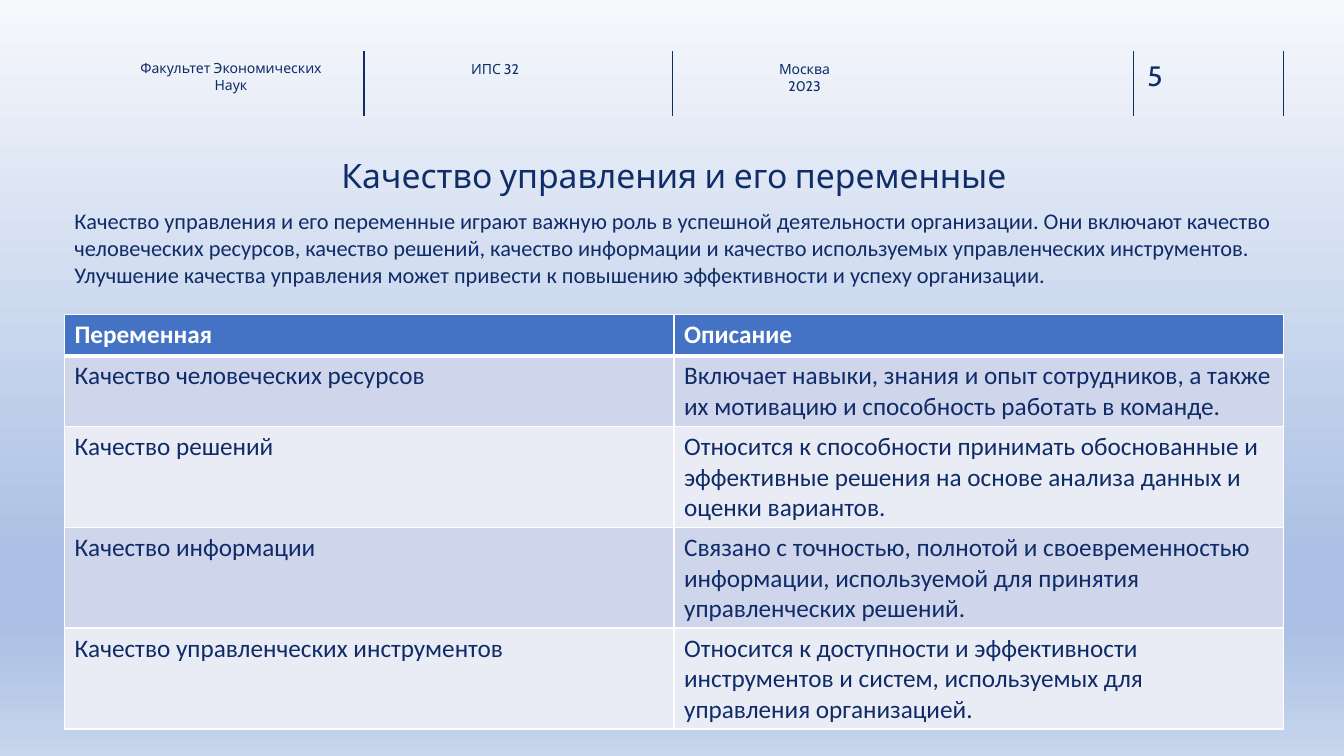
from lxml import etree
from pptx import Presentation
from pptx.dml.color import RGBColor
from pptx.enum.shapes import MSO_CONNECTOR
from pptx.enum.text import MSO_AUTO_SIZE, PP_ALIGN
from pptx.oxml.ns import qn
from pptx.util import Inches, Pt

LINE = MSO_CONNECTOR.STRAIGHT
LEFT = PP_ALIGN.LEFT
CENTER = PP_ALIGN.CENTER
GROW = MSO_AUTO_SIZE.SHAPE_TO_FIT_TEXT
FIXED = MSO_AUTO_SIZE.NONE

COLORS = {
    "rule": "102D69",
    "text": "0F2C68",
    "title": "0E2D69",
    "white": "FFFFFF",
    "head": "4472C4",
    "odd": "CFD5EA",
    "even": "E9EBF5",
}
STOPS = [(0, "F6F8FC"), (74, "ABC0E4"), (83, "ABC0E4"), (100, "C7D5ED")]
RULES = [3.61, 6.67, 11.24, 12.73]
EDGE, WIDTH = 0.64, 12.09

TITLE = "Качество управления и его переменные"
INTRO = (
    "Качество управления и его переменные играют важную роль в успешной "
    "деятельности организации. Они включают качество человеческих ресурсов, "
    "качество решений, качество информации и качество используемых "
    "управленческих инструментов. Улучшение качества управления может "
    "привести к повышению эффективности и успеху организации."
)
ROWS = [
    ("Переменная", "Описание"),
    ("Качество человеческих ресурсов",
     "Включает навыки, знания и опыт сотрудников, а также их мотивацию "
     "и способность работать в команде."),
    ("Качество решений",
     "Относится к способности принимать обоснованные и эффективные решения "
     "на основе анализа данных и оценки вариантов."),
    ("Качество информации",
     "Связано с точностью, полнотой и своевременностью информации, "
     "используемой для принятия управленческих решений."),
    ("Качество управленческих инструментов",
     "Относится к доступности и эффективности инструментов и систем, "
     "используемых для управления организацией."),
]


def rgb(name):
    return RGBColor.from_string(COLORS[name])


def style(frame, size, font, color, align=LEFT, bold=False):
    for para in frame.paragraphs:
        para.alignment = align
        for run in para.runs:
            run.font.size = Pt(size)
            run.font.name = font
            run.font.bold = bold
            run.font.color.rgb = rgb(color)


def add_sky(slide):
    fill = slide.background.fill
    fill.gradient()
    fill.gradient_angle = 270
    stops = slide.element.find(".//" + qn("a:gsLst"))
    for stop in list(stops):
        stops.remove(stop)
    for place, color in STOPS:
        stop = etree.SubElement(stops, qn("a:gs"), pos=str(place * 1000))
        etree.SubElement(stop, qn("a:srgbClr"), val=color)


def add_rule(slide, x):
    rule = slide.shapes.add_connector(
        LINE, Inches(x), Inches(0.51), Inches(x), Inches(1.15))
    rule.line.color.rgb = rgb("rule")
    rule.line.width = Pt(1)
    etree.SubElement(rule.element.spPr, qn("a:effectLst"))


def add_text(slide, text, box, size, color, font="Cabin", align=CENTER,
             inset=(0, 0), fit=FIXED):
    shape = slide.shapes.add_textbox(*[Inches(n) for n in box])
    frame = shape.text_frame
    frame.word_wrap = True
    frame.auto_size = fit
    frame.margin_left = frame.margin_right = Inches(inset[0])
    frame.margin_top = frame.margin_bottom = Inches(inset[1])
    frame.text = text
    style(frame, size, font, color, align)
    return frame


def add_edges(cell, top, bottom):
    props = cell._tc.get_or_add_tcPr()
    sides = [("a:lnL", 1), ("a:lnR", 1), ("a:lnT", top), ("a:lnB", bottom)]
    for i, (tag, width) in enumerate(sides):
        edge = etree.Element(qn(tag), w=str(Pt(width)))
        fill = etree.SubElement(edge, qn("a:solidFill"))
        etree.SubElement(fill, qn("a:srgbClr"), val=COLORS["white"])
        props.insert(i, edge)


def add_grid(slide):
    high = 0.41
    table = slide.shapes.add_table(
        len(ROWS), 2, Inches(EDGE), Inches(3.12),
        Inches(WIDTH), Inches(high * len(ROWS))).table
    for r, row in enumerate(ROWS):
        table.rows[r].height = Inches(high)
        head = r == 0
        fill = "head" if head else "odd" if r % 2 else "even"
        for c, text in enumerate(row):
            cell = table.cell(r, c)
            cell.text = text
            style(cell.text_frame, 18, "Calibri",
                  "white" if head else "text", bold=head)
            cell.fill.solid()
            cell.fill.fore_color.rgb = rgb(fill)
            add_edges(cell, 3 if r == 1 else 1, 3 if head else 1)


def main():
    deck = Presentation()
    deck.slide_width = Inches(13.33)
    deck.slide_height = Inches(7.5)
    slide = deck.slides.add_slide(deck.slide_layouts[6])
    add_sky(slide)
    for x in RULES:
        add_rule(slide, x)
    add_text(slide, "5", (11.38, 0.58, 0.73, 0.34), 20, "rule",
             align=LEFT, fit=GROW)
    add_text(slide, "Факультет Экономических Наук",
             (1.25, 0.59, 2.08, 0.45), 10, "text")
    add_text(slide, "ИПС 32", (3.78, 0.6, 2.26, 0.45), 10, "title")
    add_text(slide, "Москва\n2023", (6.85, 0.6, 2.26, 0.45), 10, "title")
    title = add_text(slide, TITLE, (EDGE, 1.58, WIDTH, 0.34), 24, "title")
    title.paragraphs[0].line_spacing = 0.9
    title.paragraphs[0].space_before = Pt(10)
    add_grid(slide)
    add_text(slide, INTRO, (EDGE, 2.01, WIDTH, 0.91), 16, "text", "Calibri",
             LEFT, (0.1, 0.05), GROW)
    deck.save("out.pptx")


if __name__ == "__main__":
    main()
